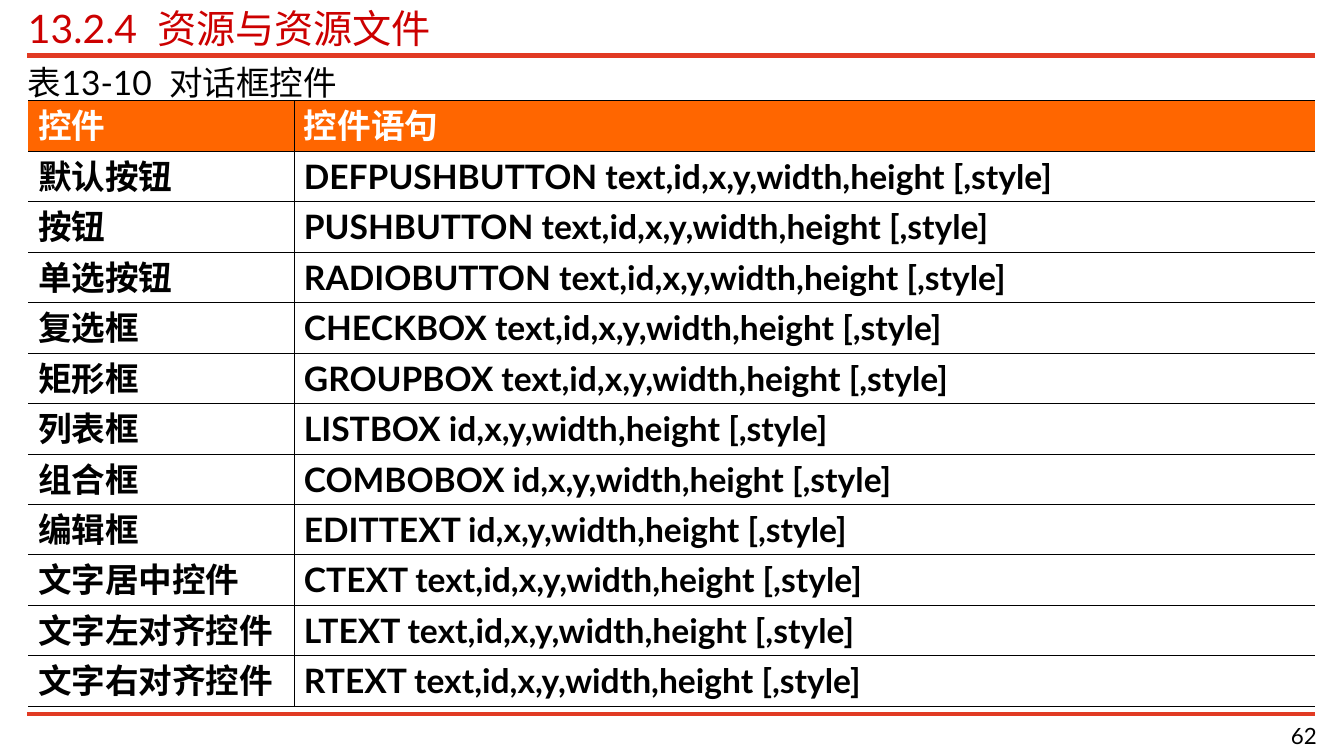
from lxml.etree import SubElement as Sub
from pptx import Presentation
from pptx.dml.color import RGBColor
from pptx.enum.shapes import MSO_CONNECTOR as Link
from pptx.enum.text import PP_ALIGN as Align
from pptx.oxml.ns import qn
from pptx.util import Pt

RED = RGBColor(0xCC, 0x00, 0x00)
RULE = RGBColor(0xE1, 0x3A, 0x23)
ORANGE = RGBColor(0xFF, 0x66, 0x00)
BLACK = RGBColor(0x00, 0x00, 0x00)
WHITE = RGBColor(0xFF, 0xFF, 0xFF)
FONT = "Lato"
LEFT, WIDTH = 20, 920
ROW = 36
COLS = (190, 730)
THIN, THICK = 0.45, 0.62

TEXT_ARGS = " text,id,x,y,width,height [,style]"
BARE_ARGS = " id,x,y,width,height [,style]"
ROWS = [
    ("控件", "控件语句"),
    ("默认按钮", "DEFPUSHBUTTON" + TEXT_ARGS),
    ("按钮", "PUSHBUTTON" + TEXT_ARGS),
    ("单选按钮", "RADIOBUTTON" + TEXT_ARGS),
    ("复选框", "CHECKBOX" + TEXT_ARGS),
    ("矩形框", "GROUPBOX" + TEXT_ARGS),
    ("列表框", "LISTBOX" + BARE_ARGS),
    ("组合框", "COMBOBOX" + BARE_ARGS),
    ("编辑框", "EDITTEXT" + BARE_ARGS),
    ("文字居中控件", "CTEXT" + TEXT_ARGS),
    ("文字左对齐控件", "LTEXT" + TEXT_ARGS),
    ("文字右对齐控件", "RTEXT" + TEXT_ARGS),
]


def add_run(par, text, size, color, bold=False):
    run = par.add_run()
    run.text = text
    font = run.font
    font.name, font.size, font.bold = FONT, Pt(size), bold
    font.color.rgb = color
    Sub(font._element, qn("a:ea"), typeface=FONT)


def add_text(slide, text, box, size, color, align=Align.LEFT):
    frame = slide.shapes.add_textbox(*map(Pt, box)).text_frame
    frame.word_wrap = True
    frame.margin_left = frame.margin_right = 0
    frame.margin_top = frame.margin_bottom = 0
    par = frame.paragraphs[0]
    par.alignment = align
    add_run(par, text, size, color)


def add_rule(slide, y, weight):
    ends = (LEFT - 0.5, y, LEFT + WIDTH - 0.5, y)
    rule = slide.shapes.add_connector(Link.STRAIGHT, *map(Pt, ends))
    rule.line.color.rgb = RULE
    rule.line.width = Pt(weight)
    Sub(rule._element.spPr, qn("a:effectLst"))


def set_edge(cell, side, weight):
    """Draw one cell border, or hide it when the weight is zero."""
    props = cell._tc.get_or_add_tcPr()
    edge = Sub(props, qn("a:ln" + side), w=str(int(Pt(weight))))
    if weight:
        fill = Sub(edge, qn("a:solidFill"))
        Sub(fill, qn("a:srgbClr"), val=str(BLACK))
    else:
        Sub(edge, qn("a:noFill"))


def fill_cell(cell, text, row, col):
    head, last = row == 0, row == len(ROWS) - 1
    set_edge(cell, "L", THIN if col else 0)
    set_edge(cell, "R", 0 if col else THIN)
    set_edge(cell, "T", THICK if row < 2 else THIN)
    set_edge(cell, "B", THICK if head or last else THIN)
    if head:
        cell.fill.solid()
        cell.fill.fore_color.rgb = ORANGE
    else:
        cell.fill.background()
    par = cell.text_frame.paragraphs[0]
    add_run(par, text, 24, WHITE if head else BLACK, True)


def add_grid(slide, top):
    box = (LEFT, top, WIDTH, ROW * len(ROWS))
    grid = slide.shapes.add_table(len(ROWS), len(COLS), *map(Pt, box)).table
    grid.horz_banding = False
    for column, width in zip(grid.columns, COLS):
        column.width = Pt(width)
    for row, texts in enumerate(ROWS):
        grid.rows[row].height = Pt(ROW)
        for col, text in enumerate(texts):
            fill_cell(grid.cell(row, col), text, row, col)


def main():
    deck = Presentation()
    deck.slide_width, deck.slide_height = Pt(960.5), Pt(540)
    slide = deck.slides.add_slide(deck.slide_layouts[6])
    add_rule(slide, 39.6, 4)
    add_rule(slide, 510, 3)
    add_text(slide, "13.2.4  资源与资源文件", (LEFT, 3, WIDTH, 34), 28, RED)
    add_text(slide, "表13-10  对话框控件", (LEFT, 44, WIDTH, 29), 24, BLACK)
    add_grid(slide, 72)
    add_text(slide, "62", (748, 515.5, 193, 22), 16, BLACK, Align.RIGHT)
    deck.save("out.pptx")


if __name__ == "__main__":
    main()
